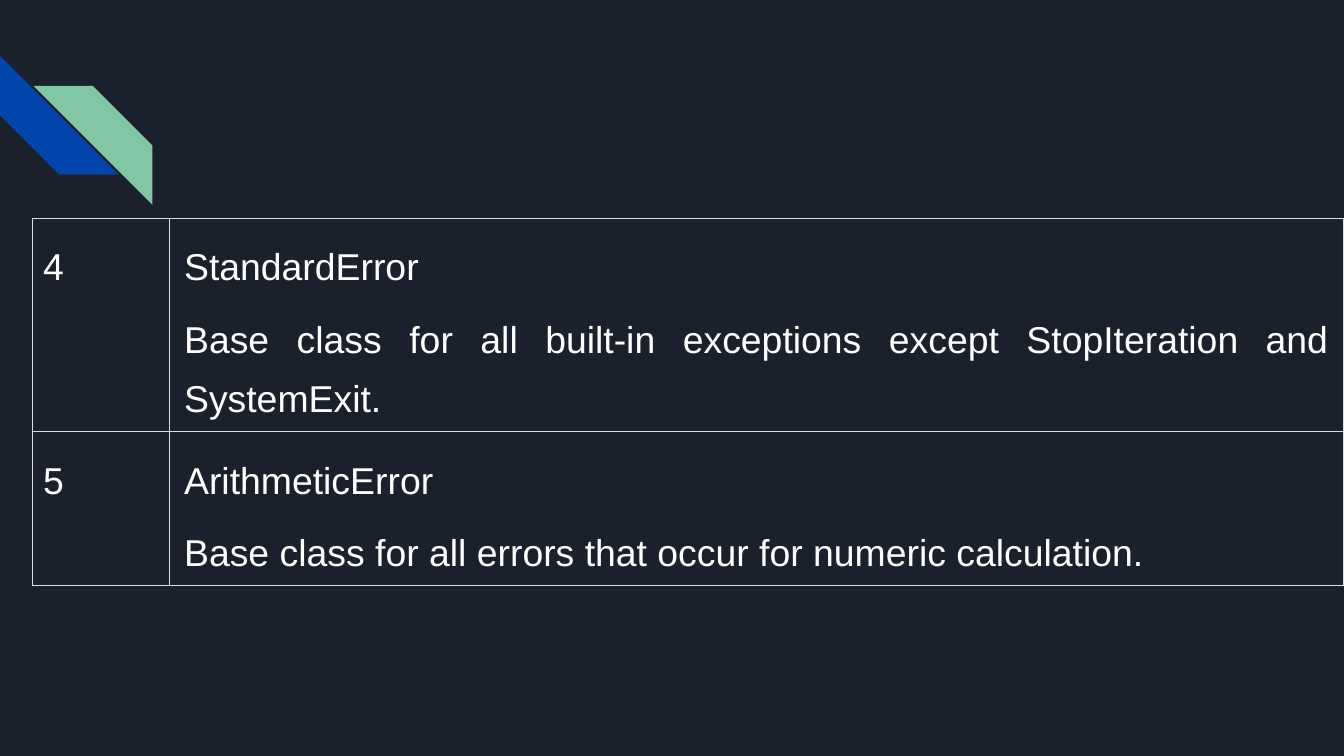
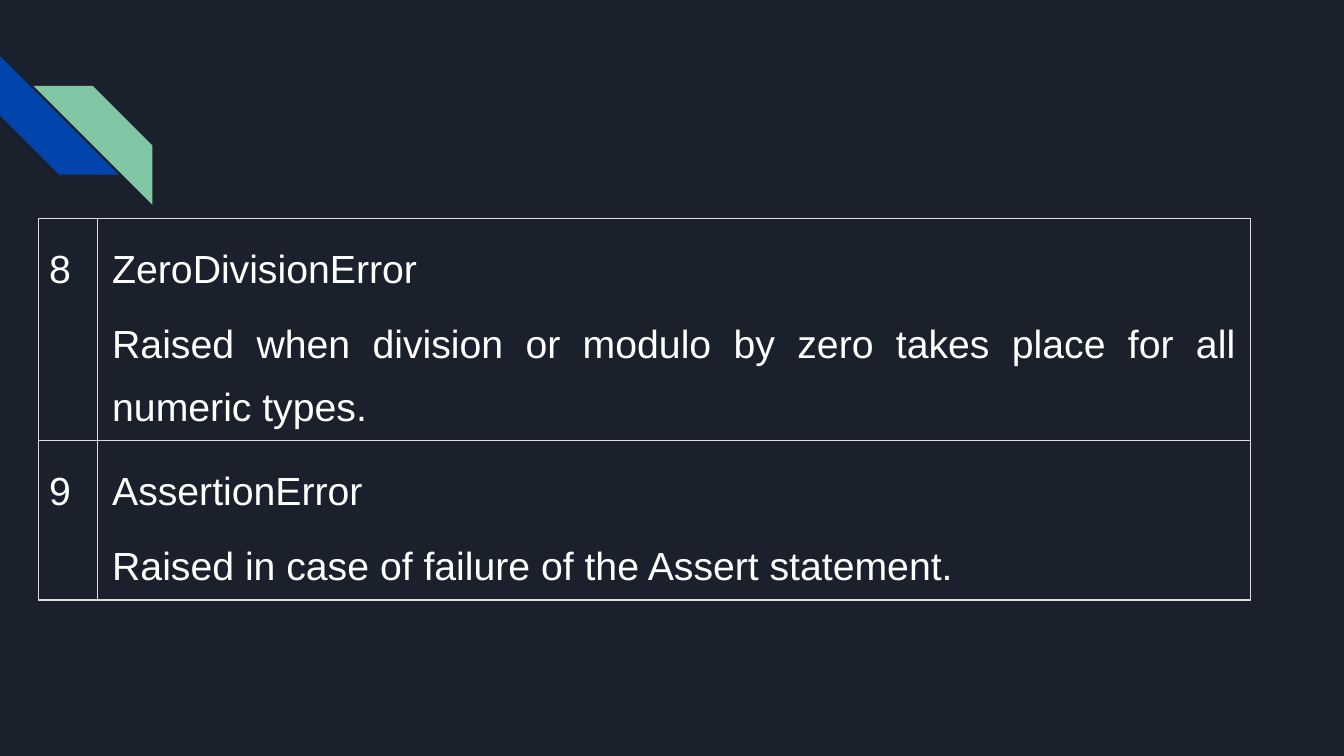
from lxml import etree
from pptx import Presentation
from pptx.dml.color import RGBColor
from pptx.enum import shapes, text
from pptx.oxml import ns
from pptx.util import Pt

PX = 4572  # 200 px to the inch
NAVY = RGBColor(0x1B, 0x21, 0x2C)
BLUE = RGBColor(0x01, 0x45, 0xAC)
GREEN = RGBColor(0x82, 0xC7, 0xA5)
GREY = RGBColor(0xDD, 0xDD, 0xDD)
WHITE = RGBColor(0xFF, 0xFF, 0xFF)

FONT = "Arial"
BORDER_WIDTH = Pt(0.75)
CELL_INSET = 16
TEXT_INDENT = 6
ROW_HEIGHT = 184
TABLE_TOP = 325
STRIPE_BOX = (0, 83, 177)  # left, top, side
GREEN_OFFSET = (50, 45)

NUMBER_FORMAT = {"line_spacing": 1.43, "space_before": Pt(0), "space_after": Pt(15)}
NAME_FORMAT = {"line_spacing": 1.43, "space_before": Pt(6), "space_after": Pt(0),
               "alignment": text.PP_ALIGN.JUSTIFY}
DETAIL_FORMAT = {**NAME_FORMAT, "space_before": Pt(7), "space_after": Pt(7)}

# Table left, frame height, column widths, text size and rows of each slide
EXCEPTION_SLIDES = [
    (48, 582, (204, 1748), 20, [
        ("4", "StandardError",
         "Base class for all built-in exceptions except StopIteration and SystemExit."),
        ("5", "ArithmeticError",
         "Base class for all errors that occur for numeric calculation."),
    ]),
    (57, 606, (88, 1716), 21, [
        ("8", "ZeroDivisionError",
         "Raised when division or modulo by zero takes place for all numeric types."),
        ("9", "AssertionError",
         "Raised in case of failure of the Assert statement."),
    ]),
]


def set_attributes(target, values):
    for name, value in values.items():
        setattr(target, name, value)


def add_stripes(slide, left, top, side):
    """Two mirrored diagonal stripes, the green one further right and down."""
    group = slide.shapes.add_group_shape()
    for (right, down), colour in (((0, 0), BLUE), (GREEN_OFFSET, GREEN)):
        stripe = group.shapes.add_shape(
            shapes.MSO_SHAPE.DIAGONAL_STRIPE,
            *(length * PX for length in (left + right, top + down, side, side)))
        stripe.adjustments[0] = 0.5
        stripe.shadow.inherit = False
        stripe.fill.solid()
        stripe.fill.fore_color.rgb = colour
        stripe.line.fill.background()
        if colour == GREEN:
            stripe._element.spPr.get_or_add_xfrm().set("flipH", "1")
        else:
            stripe.rotation = 270


def add_borders(cell):
    properties = cell._tc.get_or_add_tcPr()
    for position, side in enumerate(("lnL", "lnR", "lnT", "lnB")):
        line = etree.Element(ns.qn(f"a:{side}"), w=str(BORDER_WIDTH))
        fill = etree.SubElement(line, ns.qn("a:solidFill"))
        etree.SubElement(fill, ns.qn("a:srgbClr"), val=str(GREY))
        properties.insert(position, line)


def write_cell(cell, lines, size, indent=0):
    """Fill a cell with (wording, paragraph format) lines."""
    cell.fill.background()
    add_borders(cell)
    set_attributes(cell, dict.fromkeys(
        ("margin_left", "margin_right", "margin_top", "margin_bottom"), CELL_INSET * PX))
    frame = cell.text_frame
    for number, (wording, style) in enumerate(lines):
        paragraph = frame.add_paragraph() if number else frame.paragraphs[0]
        set_attributes(paragraph, style)
        properties = paragraph._p.get_or_add_pPr()
        for name, length in (("marL", indent), ("marR", indent), ("indent", 0)):
            properties.set(name, str(length * PX))
        run = paragraph.add_run()
        run.text = wording
        set_attributes(run.font, {"name": FONT, "size": Pt(size)})
        run.font.color.rgb = WHITE


def add_exception_table(slide, left, top, height, widths, size, rows):
    frame = slide.shapes.add_table(
        len(rows), len(widths),
        *(length * PX for length in (left, top, sum(widths), height)))
    table = frame.table
    set_attributes(table, {"first_row": False, "horz_banding": False})
    for column, width in zip(table.columns, widths):
        column.width = width * PX
    for row, (number, name, detail) in zip(table.rows, rows):
        row.height = ROW_HEIGHT * PX
        write_cell(row.cells[0], [(number, NUMBER_FORMAT)], size)
        write_cell(row.cells[1], [(name, NAME_FORMAT), (detail, DETAIL_FORMAT)],
                   size, TEXT_INDENT)
    frame.height = height * PX  # rows grow with their text inside this frame


def add_exception_slide(presentation, left, height, widths, size, rows):
    slide = presentation.slides.add_slide(presentation.slide_layouts[6])
    slide.background.fill.solid()
    slide.background.fill.fore_color.rgb = NAVY
    add_stripes(slide, *STRIPE_BOX)
    add_exception_table(slide, left, TABLE_TOP, height, widths, size, rows)


def main():
    presentation = Presentation()
    presentation.slide_width = 2000 * PX
    presentation.slide_height = 1125 * PX
    for content in EXCEPTION_SLIDES:
        add_exception_slide(presentation, *content)
    presentation.save("out.pptx")


if __name__ == "__main__":
    main()
